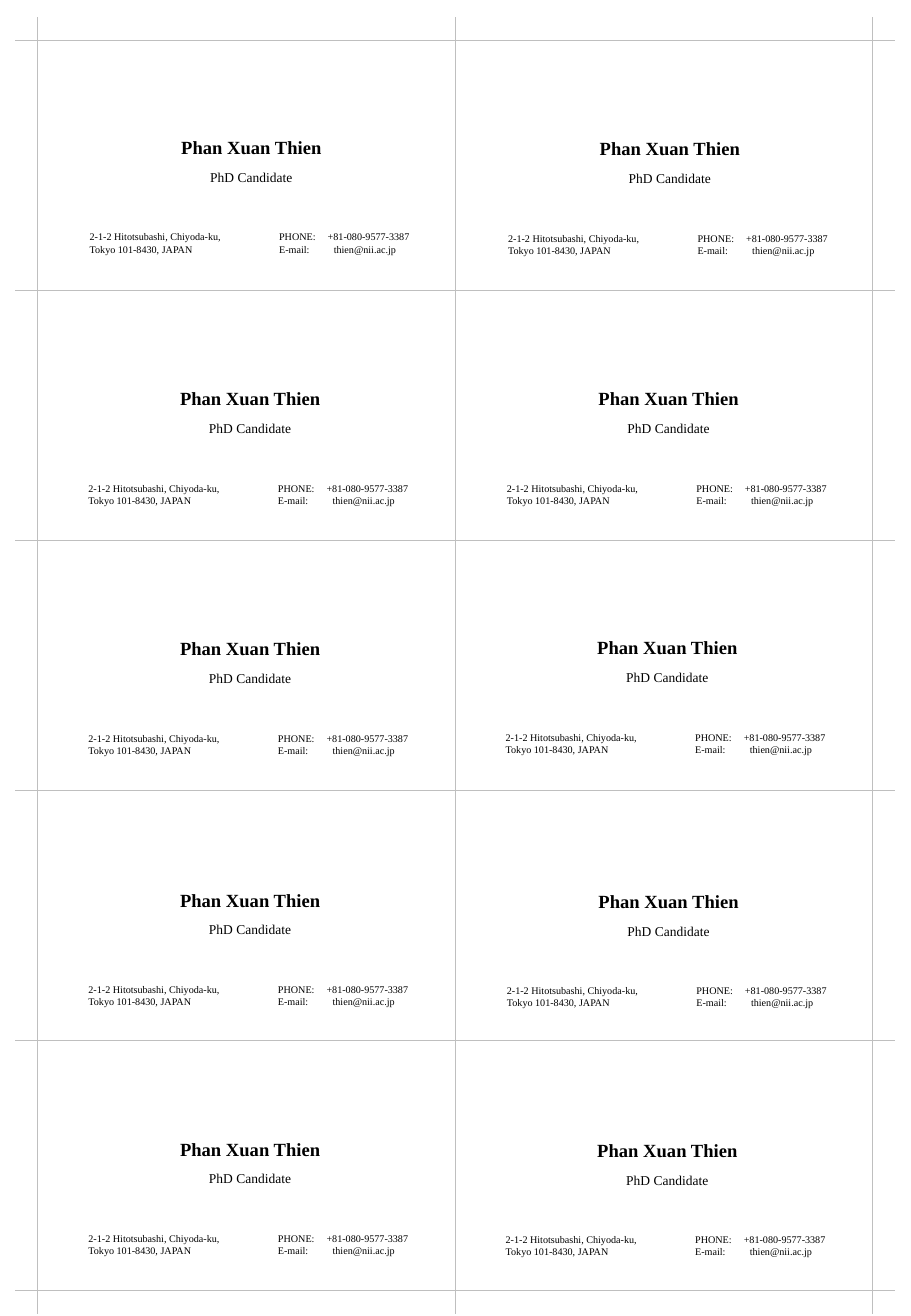
from lxml import etree
from pptx import Presentation
from pptx.dml.color import RGBColor
from pptx.enum.shapes import MSO_CONNECTOR, MSO_SHAPE
from pptx.enum.text import MSO_AUTO_SIZE, PP_ALIGN
from pptx.oxml.ns import qn
from pptx.util import Inches, Pt

RECT = MSO_SHAPE.RECTANGLE
LINE = MSO_CONNECTOR.STRAIGHT
GROW = MSO_AUTO_SIZE.SHAPE_TO_FIT_TEXT
LEFT, MID = PP_ALIGN.LEFT, PP_ALIGN.CENTER

COLORS = {"rule": "BFBFBF", "text": "000000"}
FONT = "Times New Roman"

# Sheet of cards: two columns, five rows
COLS, ROWS = 2, 5
X0, X1, Y0, Y1 = 0.31, 7.18, 0.33, 10.62
WIDE = (X1 - X0) / COLS
HIGH = (Y1 - Y0) / ROWS
MARK = 0.19

# Small shift of the text on each card, by column and row
SHIFT = [
    [(0.01, 0), (0, 0.01), (0, 0.01), (0, 0.02), (0, 0.01)],
    [(0.02, 0.01), (0.01, 0.01), (0, 0), (0.01, 0.03), (0, 0.02)],
]


def rgb(name):
    return RGBColor.from_string(COLORS[name])


def add_text(shapes, lines, x, y, w, h, size=6, bold=False, align=LEFT,
             wrap=False, tabs=()):
    box = shapes.add_textbox(Inches(x), Inches(y), Inches(w), Inches(h))
    frame = box.text_frame
    frame.word_wrap = wrap
    frame.auto_size = GROW
    for i, line in enumerate(lines):
        para = frame.paragraphs[0] if i == 0 else frame.add_paragraph()
        para.alignment = align
        if tabs:
            stops = etree.SubElement(para._p.get_or_add_pPr(), qn("a:tabLst"))
            etree.SubElement(stops, qn("a:tab"),
                             pos=str(Inches(tabs[i])), algn="l")
        run = para.add_run()
        run.text = line
        run.font.name = FONT
        run.font.size = Pt(size)
        run.font.bold = bold
        run.font.color.rgb = rgb("text")


def draw_rule(line):
    line.color.rgb = rgb("rule")
    line.width = Pt(0.25)


def add_mark(shapes, x, y, dx, dy):
    mark = shapes.add_connector(LINE, Inches(x), Inches(y),
                                Inches(x + dx), Inches(y + dy))
    draw_rule(mark.line)
    etree.SubElement(mark._element.spPr, qn("a:effectLst"))


def add_marks(shapes):
    # Side marks, then top and bottom marks
    for x, dx in ((X0, -MARK), (X1, MARK)):
        for row in range(ROWS + 1):
            add_mark(shapes, x, Y0 + row * HIGH, dx, 0)
    for y, dy in ((Y0, -MARK), (Y1, MARK)):
        for col in range(COLS + 1):
            add_mark(shapes, X0 + col * WIDE, y, 0, dy)


def add_frame(shapes, x, y, w, h):
    frame = shapes.add_shape(RECT, Inches(x), Inches(y), Inches(w), Inches(h))
    frame.shadow.inherit = False
    frame.fill.background()
    draw_rule(frame.line)


def add_card(shapes, x, y):
    add_text(shapes, ["Phan Xuan Thien"], x + 1.06, y + 0.74, 1.38, 0.29,
             size=11, bold=True, align=MID)
    add_text(shapes, ["PHONE:\t+81-080-9577-3387", "E-mail:\tthien@nii.ac.jp"],
             x + 1.88, y + 1.52, 1.33, 0.31, tabs=(0.4, 0.45))
    add_text(shapes, ["PhD Candidate"], x + 0.32, y + 1.01, 2.86, 0.23,
             size=8, align=MID, wrap=True)
    add_text(shapes, ["2-1-2 Hitotsubashi, Chiyoda-ku,",
                      "Tokyo 101-8430, JAPAN"],
             x + 0.32, y + 1.52, 1.34, 0.31)


def main():
    deck = Presentation()
    deck.slide_width, deck.slide_height = Inches(7.5), Inches(10.83)
    shapes = deck.slides.add_slide(deck.slide_layouts[6]).shapes

    # Cutting guides
    guide = shapes.add_group_shape().shapes
    add_marks(guide)

    # Cards, each with its text in one group
    for col in range(COLS):
        for row in range(ROWS):
            x, y = X0 + col * WIDE, Y0 + row * HIGH
            add_frame(guide, x, y, WIDE, HIGH)
            dx, dy = SHIFT[col][row]
            add_card(shapes.add_group_shape().shapes, x + dx, y + dy)

    deck.save("out.pptx")


if __name__ == "__main__":
    main()
